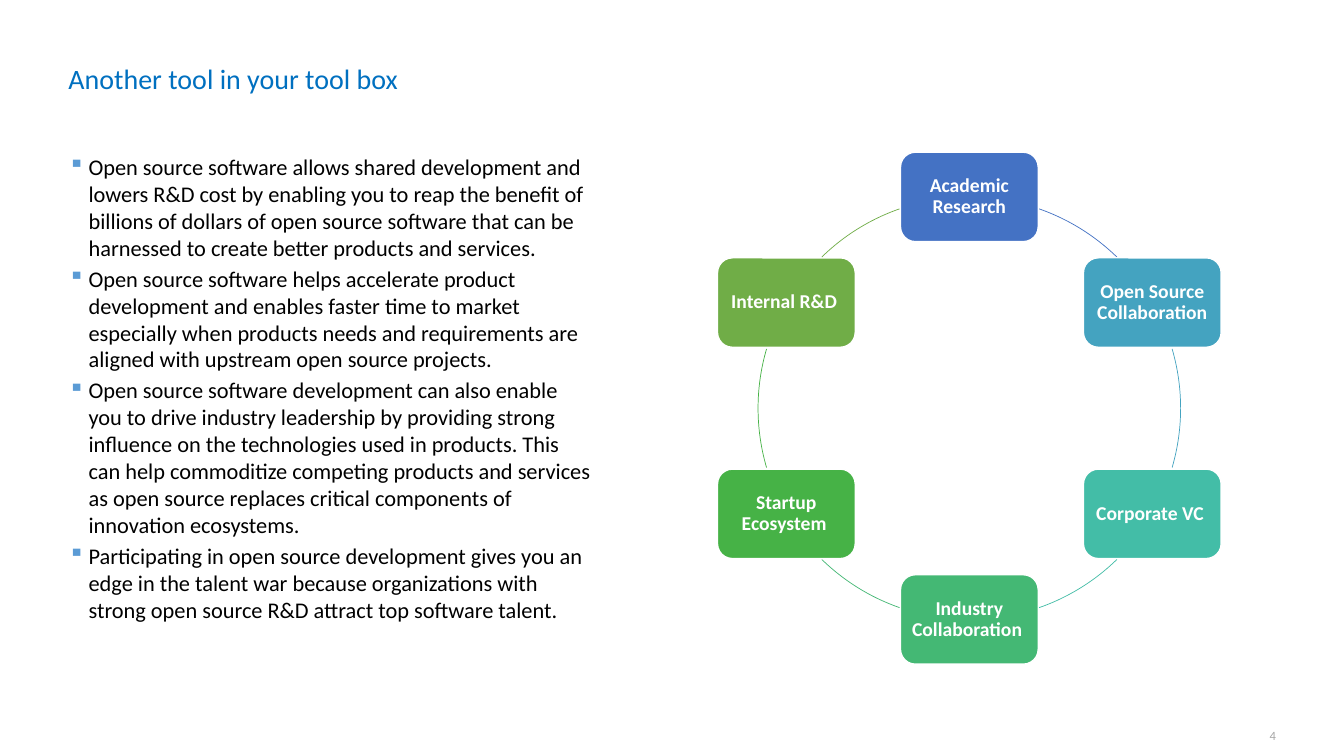
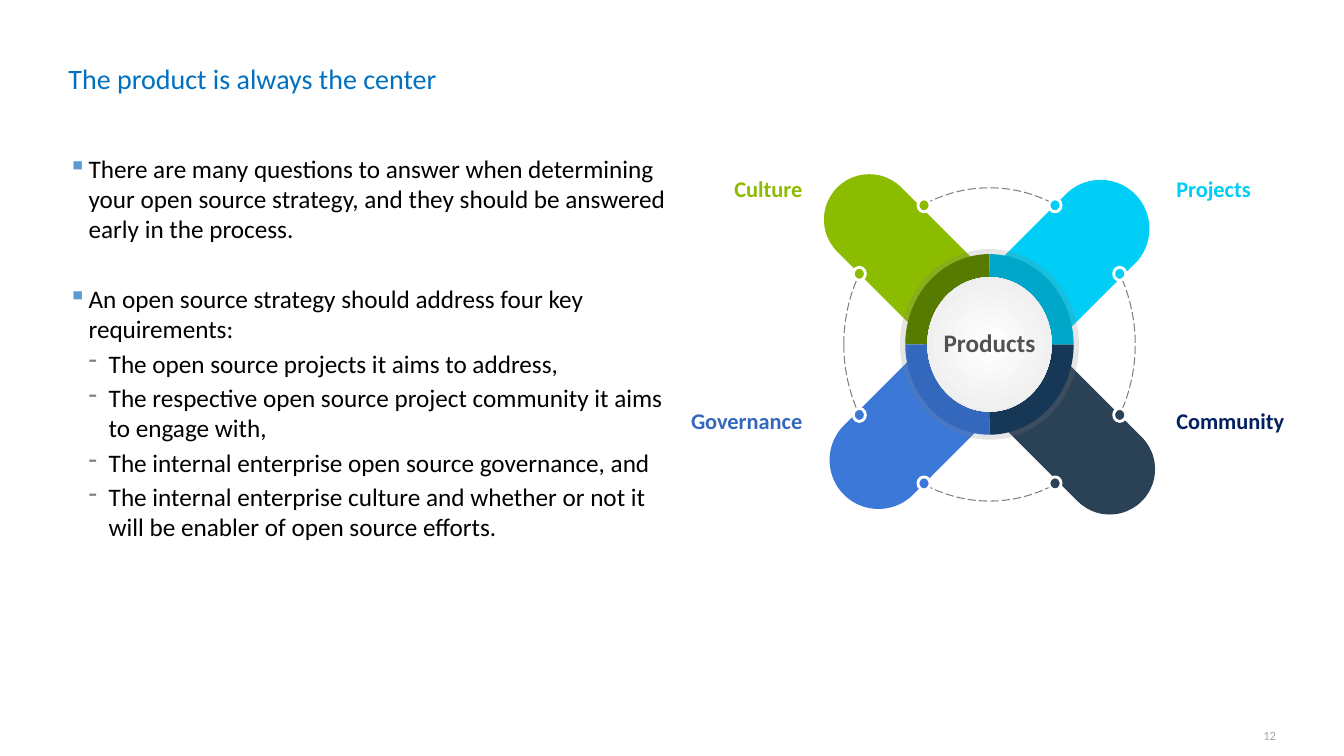
from math import cos, radians, sin

from lxml import etree
from pptx import Presentation
from pptx.dml.color import RGBColor
from pptx.enum.dml import MSO_LINE_DASH_STYLE as Dash
from pptx.enum.shapes import MSO_SHAPE as Preset
from pptx.enum.text import MSO_ANCHOR as Anchor, PP_ALIGN as Align
from pptx.oxml import parse_xml
from pptx.oxml.ns import nsdecls, qn
from pptx.util import Emu, Inches, Pt

COLUMNS, ROWS = 160, 90
CELL = Inches(1) // 12
FONT = "Calibri"
LEFT_MARGIN = 8.15
BODY_INSETS = (0, 0.6, 1.2, 0.6)
LABEL_INSETS = (1.2, 0.6, 1.2, 0.6)

COLORS = {
    "title": "0070C0", "body": "000000", "number": "A6A6A6",
    "bullet": "5B9BD5", "dash": "808080", "white": "FFFFFF",
    "academic": "4472C4", "collaboration": "44A3C0", "venture": "43BDA7",
    "industry": "44B874", "startup": "46B246", "internal": "70AD47",
    "gray": "7F7F7F", "products": "525252", "navy": "002060",
    "culture": "8BBC00", "culture_dark": "577A00",
    "projects": "00CEF6", "projects_dark": "00A7C8",
    "governance": "3C78D8", "governance_dark": "3468BC",
    "community": "2A4156", "community_dark": "163856",
    "hub_inner": "FFFFFF", "hub_middle": "EEEEEE", "hub_edge": "D8D8D8",
}

# text, color, and start and end angle of the arc that follows the node
CYCLE_NODES = [
    ("Academic Research", "academic", 289.3, 314.3),
    ("Open Source Collaboration", "collaboration", 343.7, 16.3),
    ("Corporate VC ", "venture", 45.7, 70.7),
    ("Industry Collaboration ", "industry", 109.3, 134.3),
    ("Startup Ecosystem ", "startup", 163.7, 196.3),
    ("Internal R&D ", "internal", 225.7, 250.7),
]

# name, horizontal side, vertical side, arm length, arm thickness, label color
ARMS = [
    ("Culture", -1, -1, 31.9, 10.8, "culture"),
    ("Community", 1, 1, 31.9, 10.8, "navy"),
    ("Governance", -1, 1, 29.65, 11.65, "governance_dark"),
    ("Projects", 1, -1, 29.65, 11.65, "projects"),
]

TOOL_BOX_POINTS = [
    "Open source software allows shared development and lowers R&D cost by enabling you "
    "to reap the benefit of billions of dollars of open source software that can be "
    "harnessed to create better products and services.",
    "Open source software helps accelerate product development and enables faster time to "
    "market especially when products needs and requirements are aligned with upstream open "
    "source projects.",
    "Open source software development can also enable you to drive industry leadership by "
    "providing strong influence on the technologies used in products. This can help "
    "commoditize competing products and services as open source replaces critical "
    "components of innovation ecosystems.",
    "Participating in open source development gives you an edge in the talent war because "
    "organizations with strong open source R&D attract top software talent.",
]
STRATEGY_POINTS = [
    "There are many questions to answer when determining your open source strategy, and "
    "they should be answered early in the process.",
    "An open source strategy should address four key requirements:",
]
REQUIREMENTS = [
    "The open source projects it aims to address,",
    "The respective open source project community it aims to engage with,",
    "The internal enterprise open source governance, and",
    "The internal enterprise culture and whether or not it will be enabler of open source "
    "efforts.",
]


def grid(cells):
    return Emu(round(cells * CELL))


def rgb(name):
    return RGBColor.from_string(COLORS[name])


def style_text(shape, text, size, color, bold=False, align=Align.LEFT,
               anchor=Anchor.TOP, insets=BODY_INSETS, wrap=True):
    """Write one paragraph per line of text and format them all alike."""
    frame = shape.text_frame
    frame.word_wrap = wrap
    frame.vertical_anchor = anchor
    (frame.margin_left, frame.margin_top,
     frame.margin_right, frame.margin_bottom) = map(grid, insets)
    frame.text = text
    for paragraph in frame.paragraphs:
        paragraph.alignment = align
        for run in paragraph.runs:
            font = run.font
            font.name, font.size, font.bold = FONT, Pt(size), bold
            font.color.rgb = rgb(color)
    return frame.paragraphs


def add_text(slide, left, top, width, height, text, size, color, **style):
    box = slide.shapes.add_textbox(*map(grid, (left, top, width, height)))
    return style_text(box, text, size, color, **style)


def add_centered(slide, preset, x, y, width, height, fill=None, line=None, weight=1):
    """Add a preset shape around a center point."""
    shape = slide.shapes.add_shape(
        preset, *map(grid, (x - width / 2, y - height / 2, width, height)))
    shape.shadow.inherit = False
    if fill:
        shape.fill.solid()
        shape.fill.fore_color.rgb = rgb(fill)
    else:
        shape.fill.background()
    if line:
        shape.line.color.rgb = rgb(line)
        shape.line.width = Pt(weight)
    else:
        shape.line.fill.background()
    return shape


def set_angles(shape, start, end):
    """Angles in degrees; adjustments count 100000 units of 1/60000 degree."""
    shape.adjustments[0] = start * 0.6
    shape.adjustments[1] = end * 0.6


def set_bullet(paragraph, character, color, level=0, space_before=3):
    paragraph.level = level
    paragraph.space_before = Pt(space_before)
    properties = paragraph._p.get_or_add_pPr()
    properties.set("marL", str(Inches(0.2 * (level + 1))))
    properties.set("indent", str(-Inches(0.2)))
    bullet_color = etree.SubElement(properties, qn("a:buClr"))
    etree.SubElement(bullet_color, qn("a:srgbClr"), val=COLORS[color])
    etree.SubElement(properties, qn("a:buChar"), char=character)


def set_radial_fill(shape, stops):
    """Replace the empty fill with a gradient running out from the center."""
    stop_xml = "".join(
        f'<a:gs pos="{percent * 1000}"><a:srgbClr val="{COLORS[name]}"/></a:gs>'
        for percent, name in stops)
    gradient = parse_xml(
        f'<a:gradFill {nsdecls("a")} rotWithShape="1"><a:gsLst>{stop_xml}</a:gsLst>'
        '<a:path path="circle"><a:fillToRect l="50000" t="50000" r="50000" b="50000"/>'
        '</a:path></a:gradFill>')
    properties = shape._element.spPr
    properties.replace(properties.find(qn("a:noFill")), gradient)


def set_line_opacity(shape, percent):
    color = shape.line._ln.find(".//" + qn("a:srgbClr"))
    etree.SubElement(color, qn("a:alpha"), val=str(percent * 1000))


def add_page(presentation, title, number):
    slide = presentation.slides.add_slide(presentation.slide_layouts[6])
    add_text(slide, LEFT_MARGIN, 7.3, 143.75, 8.65, title, 20, "title",
             insets=(0, 0, 1.2, 0.6))
    add_text(slide, 146, 85, 7.1, 5.1, number, 9, "number", align=Align.RIGHT,
             anchor=Anchor.MIDDLE, insets=(1.2,) * 4)
    return slide


def add_body(slide, width, lines, size):
    return add_text(slide, LEFT_MARGIN, 17.65, width, 66.25, "\n".join(lines), size, "body")


def add_cycle(slide, x, y, radius):
    step = 360 / len(CYCLE_NODES)
    for index, (text, color, start, end) in enumerate(CYCLE_NODES):
        angle = radians(index * step - 90)
        node = add_centered(slide, Preset.ROUNDED_RECTANGLE, x + radius * cos(angle),
                            y + radius * sin(angle), 16.4, 10.65, color, "white")
        for paragraph in style_text(node, text, 14, "white", bold=True, align=Align.CENTER,
                                    anchor=Anchor.MIDDLE, insets=(0.72,) * 4):
            paragraph.line_spacing = 0.9
        arc = add_centered(slide, Preset.ARC, x, y, 2 * radius, 2 * radius,
                           line=color, weight=0.5)
        set_angles(arc, start, end)


def add_product_wheel(slide, x, y):
    orbit = add_centered(slide, Preset.OVAL, x, y, 34.7, 37.3, line="gray", weight=0.75)
    orbit.line.dash_style = Dash.LONG_DASH
    for name, side_x, side_y, length, thickness, _ in ARMS:
        arm = add_centered(slide, Preset.ROUNDED_RECTANGLE, x + 6.85 * side_x,
                           y + 7.4 * side_y, length, thickness, name.lower())
        arm.adjustments[0] = 0.5
        arm.rotation = 45 * side_x * side_y % 360

    halo = add_centered(slide, Preset.OVAL, x, y, 20.3, 21.7, line="gray", weight=6)
    set_line_opacity(halo, 20)
    for name, side_x, side_y, *_ in ARMS:
        quarter = add_centered(slide, Preset.PIE, x, y, 20.05, 21.5, name.lower() + "_dark")
        start = (180 if side_x < 0 else 270) if side_y < 0 else (90 if side_x < 0 else 0)
        set_angles(quarter, start, (start + 90) % 360)

    hub = add_centered(slide, Preset.OVAL, x, y, 14.8, 16)
    set_radial_fill(hub, [(0, "hub_inner"), (81, "hub_middle"), (100, "hub_edge")])
    style_text(hub, "Products", 18, "products", bold=True, align=Align.CENTER,
               anchor=Anchor.MIDDLE, insets=(0, 0, 0, 0.5), wrap=False)

    for name, side_x, side_y, _, _, label_color in ARMS:
        for offset_x, offset_y in ((7.8, 16.55), (15.5, 8.4)):
            add_centered(slide, Preset.OVAL, x + offset_x * side_x, y + offset_y * side_y,
                         1.45, 1.55, name.lower(), "white", 2)
        left, align = (80.5, Align.RIGHT) if side_x < 0 else (138.85, Align.LEFT)
        add_text(slide, left, 20.3 if side_y < 0 else 47.9, 16.2, 4.8, name, 16,
                 label_color, bold=True, align=align, insets=LABEL_INSETS)


def build_tool_box(presentation):
    slide = add_page(presentation, "Another tool in your tool box", "4")
    for paragraph in add_body(slide, 63.85, TOOL_BOX_POINTS, 16):
        set_bullet(paragraph, "▪", "bullet")
    add_cycle(slide, 115.4, 48.6, 25.15)


def build_product_center(presentation):
    slide = add_page(presentation, "The product is always the center", "12")
    paragraphs = add_body(slide, 72.35, STRATEGY_POINTS + REQUIREMENTS, 18)
    for paragraph, space in zip(paragraphs, (3, 28)):
        set_bullet(paragraph, "▪", "bullet", space_before=space)
    for paragraph in paragraphs[len(STRATEGY_POINTS):]:
        set_bullet(paragraph, "-", "dash", level=1)
    add_product_wheel(slide, 117.8, 41)


def main():
    presentation = Presentation()
    presentation.slide_width, presentation.slide_height = grid(COLUMNS), grid(ROWS)
    build_tool_box(presentation)
    build_product_center(presentation)
    presentation.save("out.pptx")


if __name__ == "__main__":
    main()
